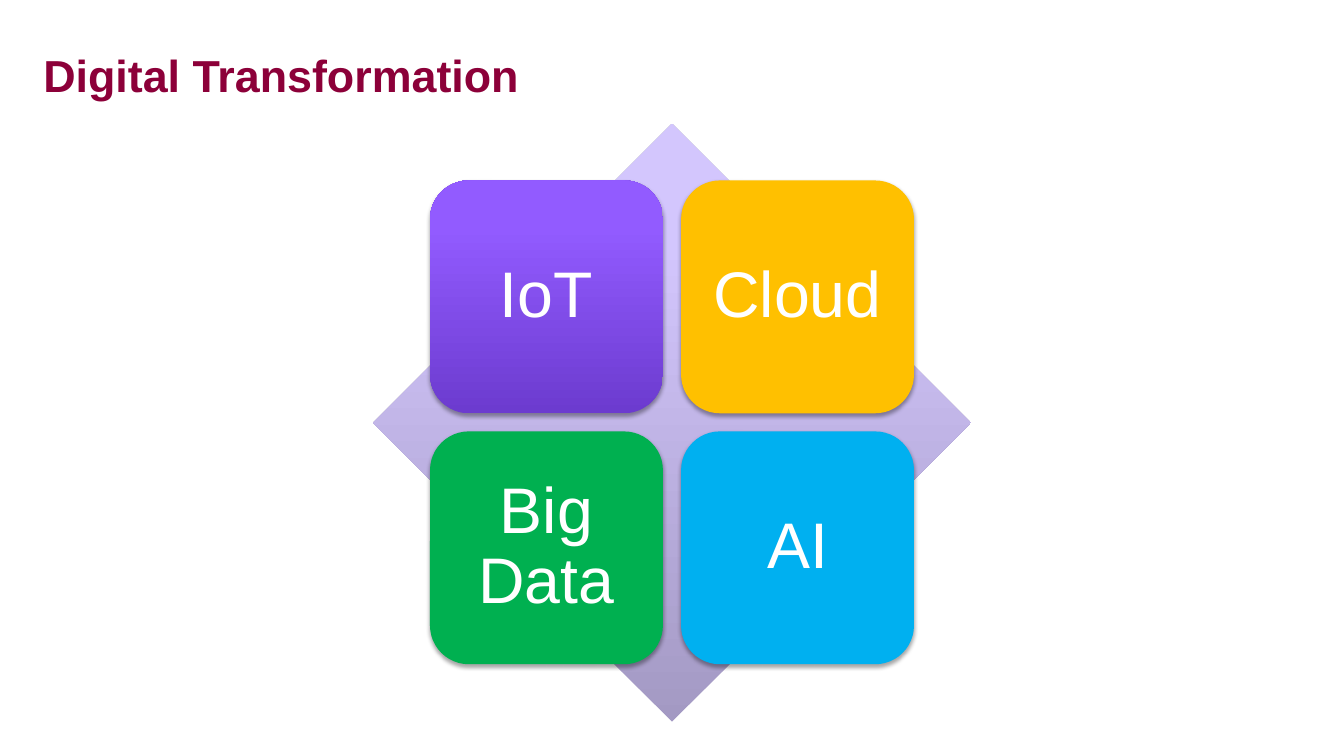
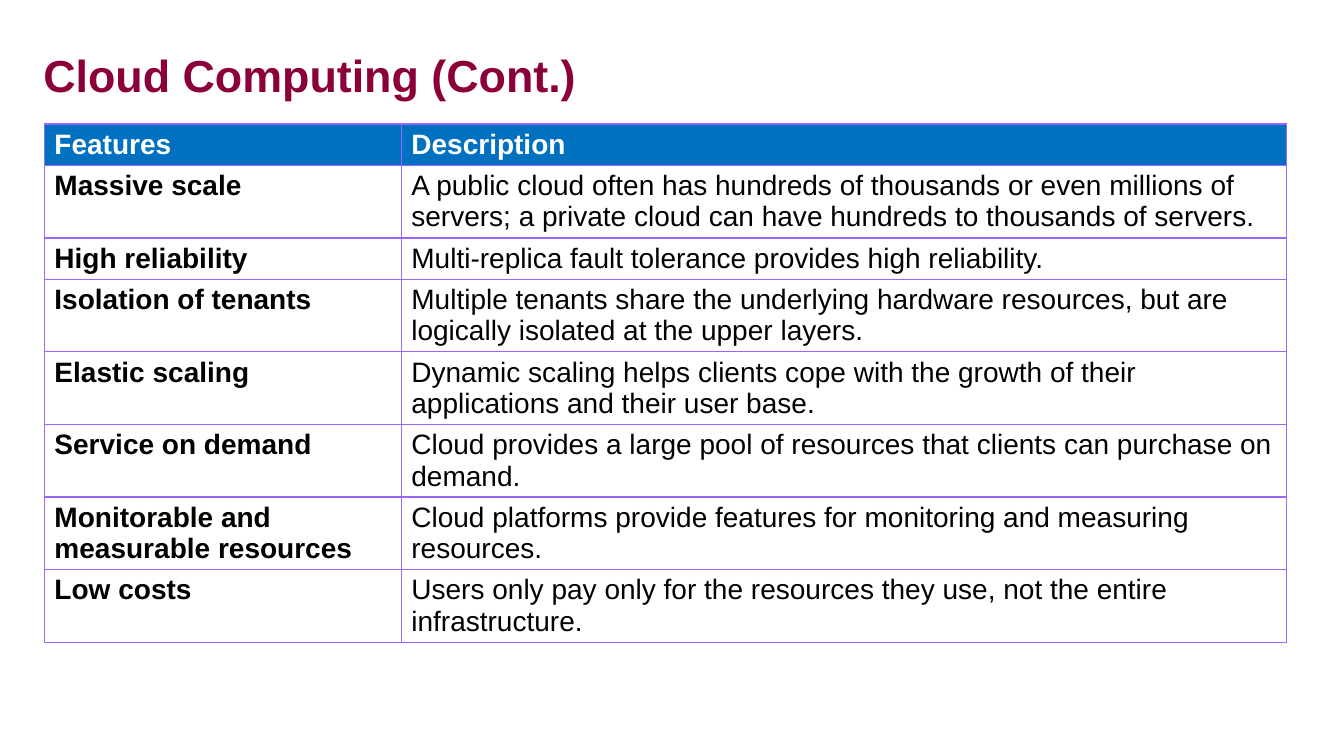
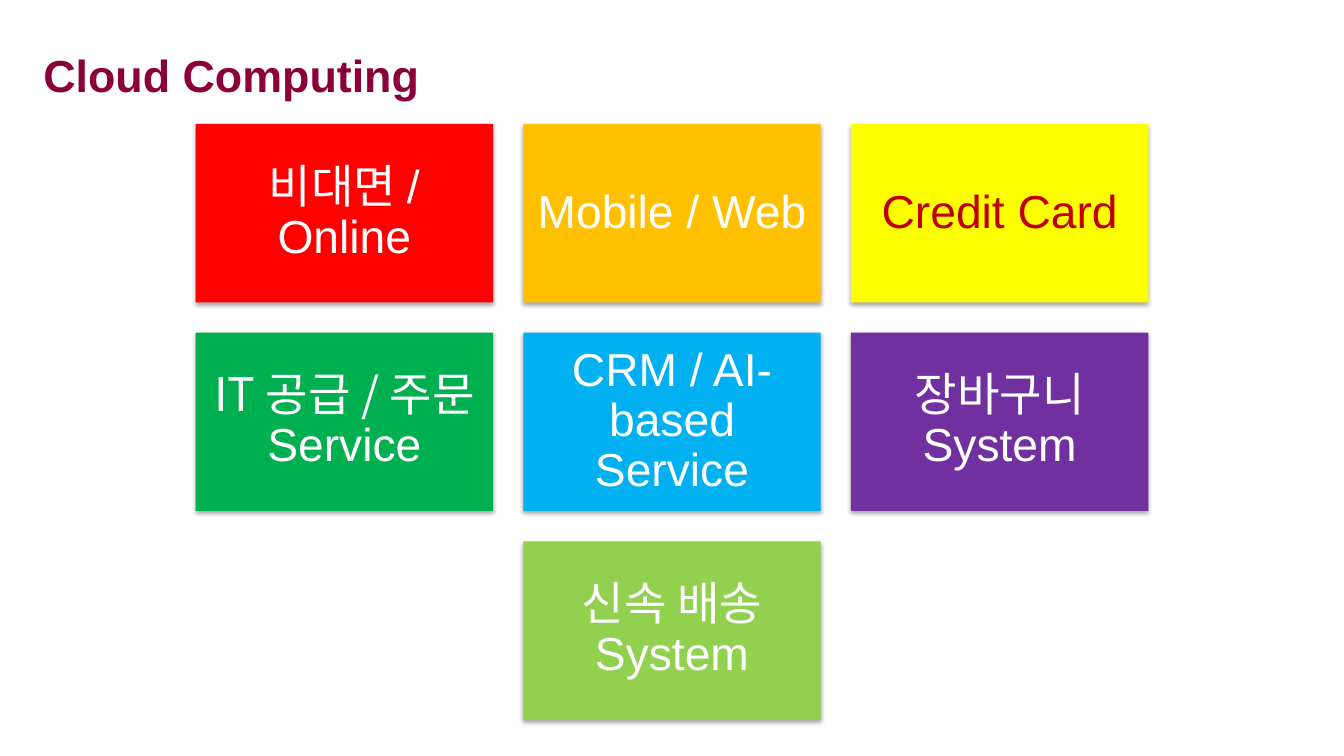
import copy
from dataclasses import dataclass

import pptx
import pptx.dml.color
import pptx.enum.shapes
import pptx.enum.text
import pptx.oxml
import pptx.oxml.ns
import pptx.util
from lxml import etree

Inches = pptx.util.Inches
Pt = pptx.util.Pt
RGB = pptx.dml.color.RGBColor.from_string
MSO_SHAPE = pptx.enum.shapes.MSO_SHAPE
PP_ALIGN = pptx.enum.text.PP_ALIGN
MSO_ANCHOR = pptx.enum.text.MSO_ANCHOR
qn = pptx.oxml.ns.qn


@dataclass(frozen=True)
class Theme:
    width: float = 13.33
    height: float = 7.5
    content_top: float = 1.23
    font: str = "Arial"
    korean_font: str = "Noto Sans CJK KR"
    title_size: int = 32
    table_size: int = 20
    tile_size: int = 33
    big_tile_size: int = 46
    title: str = "8C0039"
    text: str = "000000"
    white: str = "FFFFFF"
    header: str = "0070C0"
    border: str = "9966FF"
    red: str = "FF0000"
    dark_red: str = "C00000"
    amber: str = "FFC000"
    yellow: str = "FFFF00"
    green: str = "00B050"
    lime: str = "92D050"
    blue: str = "00B0F0"
    purple: str = "7030A0"
    violet: tuple = ((0, "6C3BCF"), (0.8, "925BFF"), (1, "935DFF"))
    lavender: tuple = ((0, "A399C3"), (0.8, "D3C6FD"), (1, "D4C7FF"))


class Deck:
    def __init__(self, theme):
        self.theme = theme
        self.prs = pptx.Presentation()
        self.prs.slide_width = Inches(theme.width)
        self.prs.slide_height = Inches(theme.height)
        self.s = None

    def add_run(self, p, text, size, color, bold=False, font=None):
        r = p.add_run()
        r.text = text
        r.font.name = font or self.theme.font
        r.font.size = Pt(size)
        r.font.bold = bold
        r.font.color.rgb = RGB(color)
        ea = etree.SubElement(r.font._element, qn("a:ea"))
        ea.set("typeface", self.theme.korean_font)

    def add_slide(self, title):
        t = self.theme
        self.s = self.prs.slides.add_slide(self.prs.slide_layouts[5])
        sp = self.s.shapes.title
        sp.left, sp.top = Inches(0.33), Inches(0.25)
        sp.width, sp.height = Inches(12.56), Inches(0.98)
        tf = sp.text_frame
        tf.vertical_anchor = MSO_ANCHOR.MIDDLE
        p = tf.paragraphs[0]
        p.alignment = PP_ALIGN.LEFT
        self.add_run(p, title, t.title_size, t.title, bold=True)

    def add_shape(self, kind, left, top, width, height, fill):
        """Draw an outline-free shape; fill is a colour or a tuple of stops running upwards."""
        sp = self.s.shapes.add_shape(
            kind, Inches(left), Inches(top), Inches(width), Inches(height))
        sp.shadow.inherit = False
        sp.line.fill.background()
        if isinstance(fill, str):
            sp.fill.solid()
            sp.fill.fore_color.rgb = RGB(fill)
            return sp
        sp.fill.gradient()
        sp.fill.gradient_angle = 90
        gs_list = sp._element.spPr.find(".//" + qn("a:gsLst"))
        while len(gs_list) < len(fill):
            gs_list.append(copy.deepcopy(gs_list[0]))
        for stop, (position, color) in zip(sp.fill.gradient_stops, fill):
            stop.position = position
            stop.color.rgb = RGB(color)
        return sp

    def add_shadow(self, sp):
        effects = sp._element.spPr.find(qn("a:effectLst"))
        shadow = etree.SubElement(
            effects, qn("a:outerShdw"), blurRad=str(Pt(3.1)), dist=str(Pt(1.8)),
            dir="5400000", rotWithShape="0")
        color = etree.SubElement(shadow, qn("a:srgbClr"), val=self.theme.text)
        etree.SubElement(color, qn("a:alpha"), val="35000")

    def add_tiles(self, kind, rows, top, width, height, gap, size, inset):
        """Lay out rows of (fill, text colour, runs), each row centred on the slide."""
        for i, row in enumerate(rows):
            row_width = len(row) * (width + gap) - gap
            left = (self.theme.width - row_width) / 2
            for j, (fill, color, runs) in enumerate(row):
                sp = self.add_shape(kind, left + j * (width + gap),
                                    top + i * (height + gap), width, height, fill)
                self.add_shadow(sp)
                tf = sp.text_frame
                tf.word_wrap = True
                tf.vertical_anchor = MSO_ANCHOR.MIDDLE
                tf.margin_left = tf.margin_right = Inches(inset)
                tf.margin_top = tf.margin_bottom = Inches(inset)
                p = tf.paragraphs[0]
                p.alignment = PP_ALIGN.CENTER
                p.line_spacing = 0.9
                for text, font in runs:
                    self.add_run(p, text, size, color, font=font)

    def add_borders(self, cell):
        tc_pr = cell._tc.get_or_add_tcPr()
        for side in ("a:lnL", "a:lnR", "a:lnT", "a:lnB"):
            ln = etree.SubElement(tc_pr, qn(side), w=str(Pt(1)))
            fill = etree.SubElement(ln, qn("a:solidFill"))
            etree.SubElement(fill, qn("a:srgbClr"), val=self.theme.border)

    def add_table(self, rows, left, top, col_widths, row_height):
        t = self.theme
        table = self.s.shapes.add_table(
            len(rows), len(col_widths), Inches(left), Inches(top),
            Inches(sum(col_widths)), Inches(row_height * len(rows))).table
        for column, width in zip(table.columns, col_widths):
            column.width = Inches(width)
        for i, row in enumerate(rows):
            for j, text in enumerate(row):
                cell = table.cell(i, j)
                self.add_borders(cell)
                cell.fill.solid()
                cell.fill.fore_color.rgb = RGB(t.white if i else t.header)
                self.add_run(cell.text_frame.paragraphs[0], text, t.table_size,
                             t.text if i else t.white, bold=i == 0 or j == 0)


FEATURES = [
    ("Features", "Description"),
    ("Massive scale",
     "A public cloud often has hundreds of thousands or even millions of servers; "
     "a private cloud can have hundreds to thousands of servers."),
    ("High reliability", "Multi-replica fault tolerance provides high reliability."),
    ("Isolation of tenants",
     "Multiple tenants share the underlying hardware resources, "
     "but are logically isolated at the upper layers."),
    ("Elastic scaling",
     "Dynamic scaling helps clients cope with the growth of their applications "
     "and their user base."),
    ("Service on demand",
     "Cloud provides a large pool of resources that clients can purchase on demand."),
    ("Monitorable and measurable resources",
     "Cloud platforms provide features for monitoring and measuring resources."),
    ("Low costs",
     "Users only pay only for the resources they use, not the entire infrastructure."),
]


def main():
    t = Theme()
    deck = Deck(t)
    latin, korean = t.font, t.korean_font

    deck.add_slide("Digital Transformation")
    side = 5.93
    deck.add_shape(MSO_SHAPE.DIAMOND, (t.width - side) / 2, t.content_top,
                   side, side, t.lavender)
    technologies = [
        [(t.violet, t.white, [("IoT", latin)]),
         (t.amber, t.white, [("Cloud", latin)])],
        [(t.green, t.white, [("Big Data", latin)]),
         (t.blue, t.white, [("AI", latin)])],
    ]
    deck.add_tiles(MSO_SHAPE.ROUNDED_RECTANGLE, technologies, top=1.79, width=2.31,
                   height=2.31, gap=0.18, size=t.big_tile_size, inset=0.19)

    deck.add_slide("Cloud Computing (Cont.)")
    deck.add_table(FEATURES, 0.44, t.content_top, (3.54, 8.78), 0.41)

    deck.add_slide("Cloud Computing")
    services = [
        [(t.red, t.white, [("비대면 / Online", latin)]),
         (t.amber, t.white, [("Mobile / Web", latin)]),
         (t.yellow, t.dark_red, [("Credit Card", latin)])],
        [(t.green, t.white, [("IT 공급 / 주문 ", korean), ("Service", latin)]),
         (t.blue, t.white, [("CRM / AI-based Service", latin)]),
         (t.purple, t.white, [("장바구니 ", korean), ("System", latin)])],
        [(t.lime, t.white, [("신속 배송 ", korean), ("System", latin)])],
    ]
    deck.add_tiles(MSO_SHAPE.RECTANGLE, services, top=t.content_top, width=2.95,
                   height=1.77, gap=0.3, size=t.tile_size, inset=0.14)

    deck.prs.save("out.pptx")


if __name__ == "__main__":
    main()
